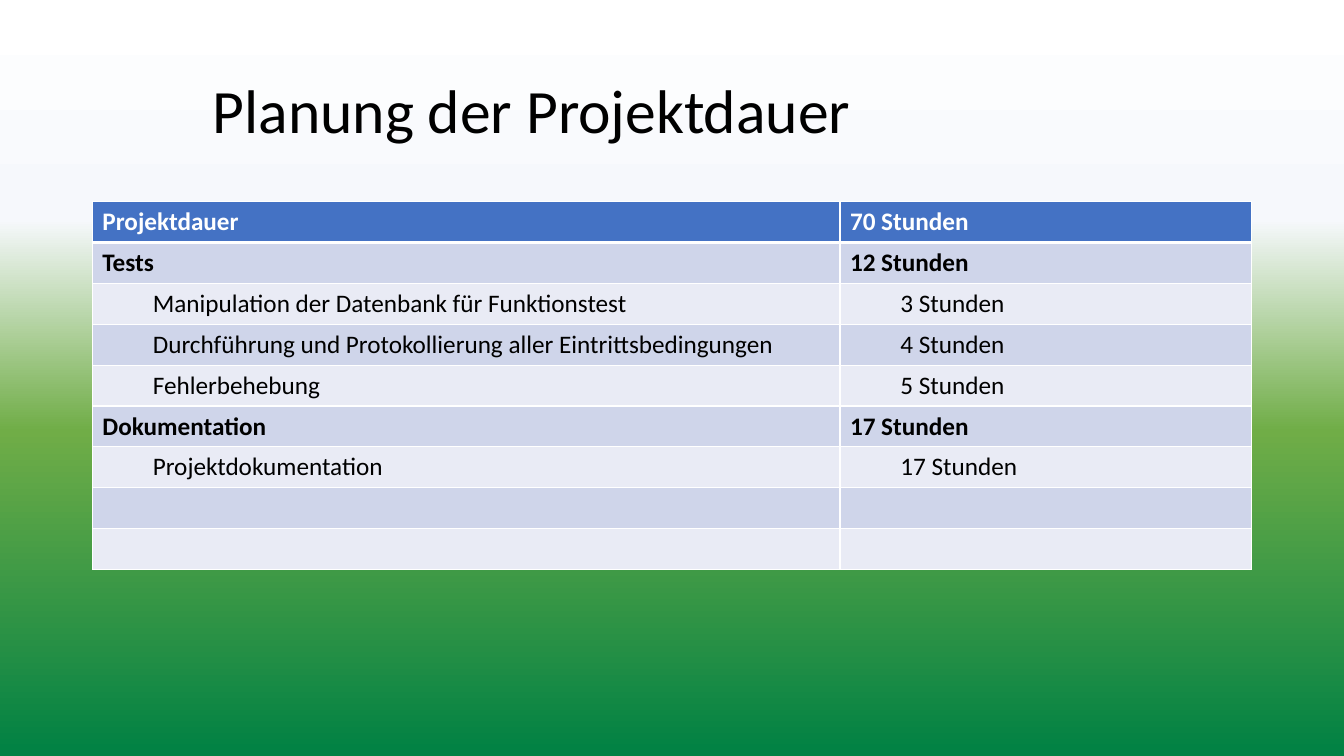
"""Build the project duration slide with its table of planned hours."""
import pptx
import pptx.dml.color
import pptx.enum.text
import pptx.oxml
import pptx.oxml.ns
import pptx.util
import lxml.etree

Pt = pptx.util.Pt
RGB = pptx.dml.color.RGBColor
qn = pptx.oxml.ns.qn

FONT = "Calibri"
WHITE = RGB(0xFF, 0xFF, 0xFF)
BLACK = RGB(0x00, 0x00, 0x00)
BLUE = RGB(0x44, 0x72, 0xC4)
DARK = RGB(0xCF, 0xD5, 0xEA)
LIGHT = RGB(0xE9, 0xEB, 0xF5)
MIST = RGB(0xF6, 0xF8, 0xFC)
GRASS = RGB(0x70, 0xAD, 0x47)
GREEN = RGB(0x00, 0x81, 0x44)

STOPS = [(0, WHITE), (29, MIST), (57, GRASS), (100, GREEN)]
ROWS = [
    (0, "Projektdauer", "70 Stunden"),
    (0, "Tests", "12 Stunden"),
    (1, "Manipulation der Datenbank für Funktionstest", "3 Stunden"),
    (1, "Durchführung und Protokollierung aller Eintrittsbedingungen",
     "4 Stunden"),
    (1, "Fehlerbehebung", "5 Stunden"),
    (0, "Dokumentation", "17 Stunden"),
    (1, "Projektdokumentation", "17 Stunden"),
    (0, "", ""),
    (0, "", ""),
]


def write(para, text, size, color, bold=False):
    run = para.add_run()
    run.text = text
    run.font.name = FONT
    run.font.size = Pt(size)
    run.font.bold = bold
    run.font.color.rgb = color


def edge(cell, side, width):
    props = cell._tc.get_or_add_tcPr()
    line = lxml.etree.SubElement(props, qn("a:ln" + side), w=str(Pt(width)))
    fill = lxml.etree.SubElement(line, qn("a:solidFill"))
    lxml.etree.SubElement(fill, qn("a:srgbClr"), val=str(WHITE))


deck = pptx.Presentation()
deck.slide_width = Pt(960)
deck.slide_height = Pt(540)
slide = deck.slides.add_slide(deck.slide_layouts[5])

back = slide.background.fill
back.gradient()
back.gradient_angle = 270
stops = slide.element.find(".//" + qn("a:gsLst"))
for old in list(stops):
    stops.remove(old)
for place, color in STOPS:
    stop = lxml.etree.SubElement(stops, qn("a:gs"), pos=str(place * 1000))
    lxml.etree.SubElement(stop, qn("a:srgbClr"), val=str(color))

title = slide.shapes.title
title.left, title.top = Pt(144.7), Pt(28.8)
title.width, title.height = Pt(749.5), Pt(104.4)
frame = title.text_frame
frame.word_wrap = True
frame.auto_size = pptx.enum.text.MSO_AUTO_SIZE.NONE
frame.vertical_anchor = pptx.enum.text.MSO_ANCHOR.MIDDLE
para = frame.paragraphs[0]
para.alignment = pptx.enum.text.PP_ALIGN.LEFT
para.line_spacing = 0.9
write(para, "Planung der Projektdauer", 44, BLACK)

table = slide.shapes.add_table(
    len(ROWS), 2, Pt(66), Pt(144), Pt(828), Pt(262.8)).table
table.columns[0].width = Pt(534)
table.columns[1].width = Pt(294)

for i, (level, *texts) in enumerate(ROWS):
    table.rows[i].height = Pt(29.2)
    for j, text in enumerate(texts):
        cell = table.cell(i, j)
        for side in "LRTB":
            thick = (i, side) in [(0, "B"), (1, "T")]
            edge(cell, side, 3 if thick else 1)
        cell.fill.solid()
        cell.fill.fore_color.rgb = (
            BLUE if i == 0 else DARK if i % 2 else LIGHT)
        para = cell.text_frame.paragraphs[0]
        if level:
            para.level = level
            para._p.get_or_add_pPr().set("marL", str(Pt(36)))
        if text:
            write(para, text, 18, BLACK if i else WHITE, level == 0)

deck.save("out.pptx")
